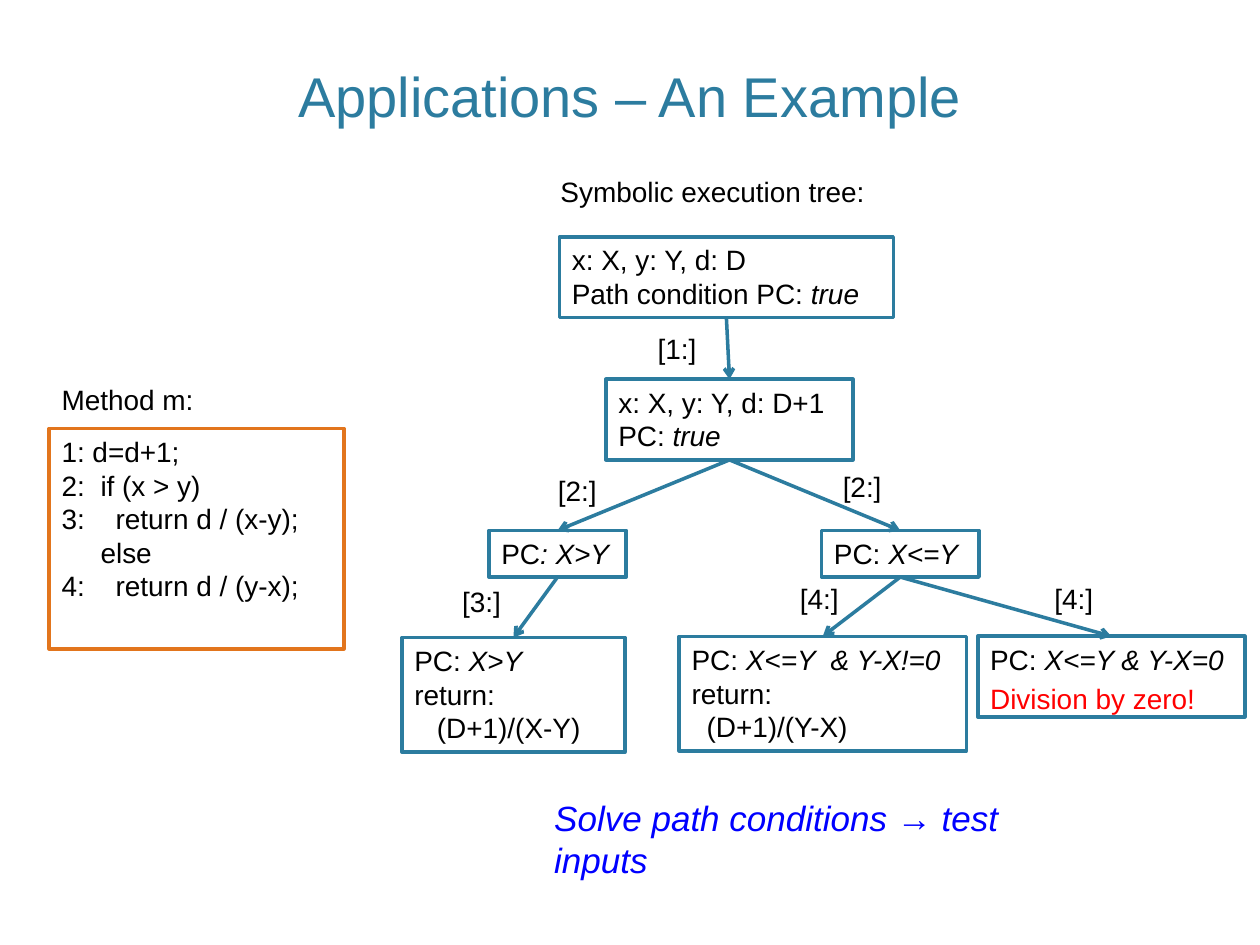
from lxml import etree
from pptx import Presentation
from pptx import util as u
from pptx.dml import color
from pptx.enum import shapes, text
from pptx.oxml import ns

TEAL, ORANGE, BLACK, RED, BLUE = "2C7C9F", "E2751D", "000000", "FF0000", "0000FF"


def rgb(value):
    return color.RGBColor.from_string(value)


def write(shape, lines, size=16, ink=BLACK, align=text.PP_ALIGN.LEFT, anchor=text.MSO_ANCHOR.TOP):
    """Fill a shape with lines of (plain text, italic text, indent in inches)."""
    frame = shape.text_frame
    frame.word_wrap = True
    frame.vertical_anchor = anchor
    for index, (plain, italic, indent) in enumerate(lines):
        paragraph = frame.paragraphs[0] if index == 0 else frame.add_paragraph()
        paragraph.alignment = align
        if indent:
            properties = paragraph._p.get_or_add_pPr()
            properties.set("marL", str(u.Inches(indent)))
            # A line number hangs to the left of its tabbed statement
            properties.set("indent", str(-u.Inches(indent) if "\t" in plain else 0))
        for words, slanted in ((plain, False), (italic, True)):
            if words:
                run = paragraph.add_run()
                run.text = words
                run.font.name = "Arial"
                run.font.size = u.Pt(size)
                run.font.italic = slanted
                run.font.color.rgb = rgb(ink)


presentation = Presentation()
presentation.slide_width = u.Inches(10)
presentation.slide_height = u.Inches(7.5)
slide = presentation.slides.add_slide(presentation.slide_layouts[6])

# Program listing and the nodes of the execution tree
boxes = {
    "method": (0.39, 3.4, 2.34, 1.75, [
        ("1: d=d+1;", "", 0),
        ("2:\tif (x > y)", "", 0.31),
        ("3:\treturn d / (x-y);", "", 0.43),
        ("else", "", 0.31),
        ("4:\treturn d / (y-x);", "", 0.43)]),
    "start": (4.44, 1.88, 2.65, 0.64, [
        ("x: X, y: Y, d: D", "", 0), ("Path condition PC: ", "true", 0)]),
    "incremented": (4.81, 3.01, 1.96, 0.64, [
        ("x: X, y: Y, d: D+1", "", 0), ("PC: ", "true", 0)]),
    "greater": (3.88, 4.21, 1.09, 0.37, [("PC", ": X>Y", 0)]),
    "not greater": (6.52, 4.21, 1.25, 0.37, [("PC: ", "X<=Y", 0)]),
    "return x-y": (3.19, 5.06, 1.77, 0.91, [
        ("PC: ", "X>Y", 0), ("return:", "", 0), ("(D+1)/(X-Y)", "", 0.18)]),
    "return y-x": (5.39, 5.05, 2.28, 0.91, [
        ("PC: ", "X<=Y  & Y-X!=0", 0), ("return:", "", 0), ("(D+1)/(Y-X)", "", 0.12)]),
    "error": (7.76, 5.05, 2.12, 0.64, [
        ("PC: ", "X<=Y & Y-X=0", 0), ("Division by zero!", "", 0)]),
}
nodes = {}
for name, (left, top, width, height, lines) in boxes.items():
    box = slide.shapes.add_shape(shapes.MSO_SHAPE.RECTANGLE, u.Inches(left), u.Inches(top),
                                 u.Inches(width), u.Inches(height))
    box.shadow.inherit = False
    box.fill.solid()
    box.fill.fore_color.rgb = rgb("FFFFFF")
    box.line.color.rgb = rgb(ORANGE if name == "method" else TEAL)
    box.line.width = u.Pt(2)
    write(box, lines)
    nodes[name] = box

warning = nodes["error"].text_frame.paragraphs[1]
warning.space_before = u.Pt(3)
warning.runs[0].font.color.rgb = rgb(RED)

# Arrows from the bottom of a node to the top of its child
TOP_SITE, BOTTOM_SITE = 0, 2
branches = [
    ("start", "incremented"),
    ("incremented", "greater"),
    ("incremented", "not greater"),
    ("greater", "return x-y"),
    ("not greater", "return y-x"),
    ("not greater", "error"),
]
for parent, child in branches:
    arrow = slide.shapes.add_connector(shapes.MSO_CONNECTOR.STRAIGHT, 0, 0, 0, 0)
    arrow.begin_connect(nodes[parent], BOTTOM_SITE)
    arrow.end_connect(nodes[child], TOP_SITE)
    arrow.line.color.rgb = rgb(TEAL)
    arrow.line.width = u.Pt(2)
    etree.SubElement(arrow.line._get_or_add_ln(), ns.qn("a:tailEnd"), type="arrow")
    etree.SubElement(arrow._element.spPr, ns.qn("a:effectLst"))

# Headings and branch labels
labels = [
    ("Method m:", 0.39, 2.99, 2.09),
    ("Symbolic execution tree:", 4.35, 1.34, 2.94),
    ("[1:]", 5.12, 2.58, 0.58),
    ("[2:]", 4.33, 3.71, 0.58),
    ("[2:]", 6.59, 3.68, 0.58),
    ("[3:]", 3.57, 4.59, 0.77),
    ("[4:]", 6.25, 4.57, 0.77),
    ("[4:]", 8.27, 4.57, 0.77),
]
for words, left, top, width in labels:
    label = slide.shapes.add_textbox(u.Inches(left), u.Inches(top), u.Inches(width), u.Inches(0.37))
    write(label, [(words, "", 0)])

conclusion = slide.shapes.add_textbox(u.Inches(4.3), u.Inches(6.27), u.Inches(4.32), u.Inches(0.44))
write(conclusion, [("", "Solve path conditions → test inputs", 0)], size=20, ink=BLUE)

title = slide.shapes.add_textbox(u.Inches(0), u.Inches(-0.18), u.Inches(10), u.Inches(1.25))
write(title, [("Applications – An Example", "", 0)], size=32, ink=TEAL,
      align=text.PP_ALIGN.CENTER, anchor=text.MSO_ANCHOR.BOTTOM)

presentation.save("out.pptx")
